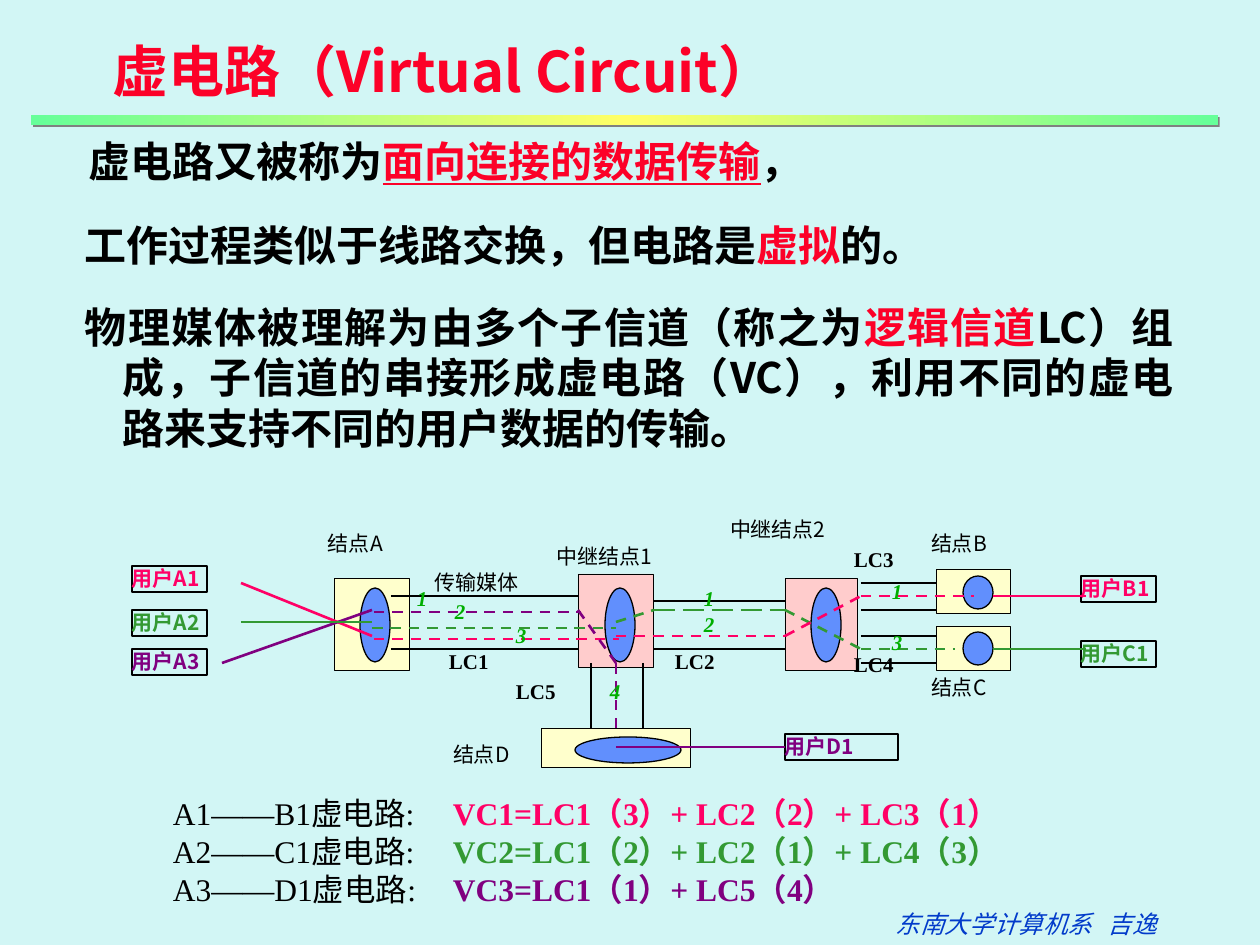
import pptx
import pptx.util
import pptx.dml.color
import pptx.enum.dml
import pptx.enum.shapes
import pptx.enum.text
import pptx.oxml
import pptx.oxml.ns
import copy

SANS, SERIF = "Noto Sans CJK SC", "Times New Roman"
THEME = {
    "back": "D2F6F5", "ink": "000000", "red": "FC0128", "blue": "023BCA",
    "pink": "FF0066", "green": "339933", "purple": "800080", "lime": "00AE00",
    "cream": "FFFFCC", "rose": "FFCCCC", "oval": "618FFD",
    "bar": ["66FF99", "FFFF66", "66FF99"], "shade": "808080",
    "title": dict(name=SANS, size=32, bold=True),
    "body": dict(name=SANS, size=24, bold=True),
    "under": dict(name=SANS, size=24, bold=True, underline=True),
    "foot": dict(name=SERIF, size=14, italic=True),
    "path": dict(name=SERIF, size=18),
    "sum": dict(name=SERIF, size=18, bold=True),
    "user": dict(name=SANS, size=12, bold=True),
    "node": dict(name=SANS, size=12),
    "link": dict(name=SERIF, size=12, bold=True),
    "num": dict(name=SERIF, size=12, bold=True, italic=True),
}

TITLE = [[("虚电路（Virtual Circuit）", "title", "red")]]
BODY = [
    [("虚电路又被称为", "body", "ink"), ("面向连接的数据传输", "under", "red"),
     ("，", "body", "ink")],
    [("工作过程类似于线路交换，但电路是", "body", "ink"), ("虚拟", "body", "red"),
     ("的。", "body", "ink")],
    [("物理媒体被理解为由多个子信道（称之为", "body", "ink"),
     ("逻辑信道", "body", "red"),
     ("LC）组成，子信道的串接形成虚电路（VC），"
      "利用不同的虚电路来支持不同的用户数据的传输。", "body", "ink")],
]
INDENT = [(-34, 13), (-38, 12), (-38, 12)]
FOOT = [[("东南大学计算机系\t吉逸", "foot", "blue")]]
PATHS = [
    ("A1——B1虚电路:", "VC1=LC1（3）+ LC2（2）+ LC3（1）", "pink"),
    ("A2——C1虚电路:", "VC2=LC1（2）+ LC2（1）+ LC4（3）", "green"),
    ("A3——D1虚电路:", "VC3=LC1（1）+ LC5（4）", "purple"),
]
NODES = [
    ("cream", (334, 578, 76, 92), (360, 588, 30, 74)),
    ("rose", (578, 574, 76, 93), (605, 588, 30, 74)),
    ("rose", (785, 578, 73, 92), (811, 588, 30, 74)),
    ("cream", (541, 728, 150, 40), (575, 737, 106, 26)),
    ("cream", (936, 569, 75, 45), (963, 576, 30, 33)),
    ("cream", (936, 626, 75, 45), (963, 632, 30, 33)),
]
USERS = [
    ("用户A1", "pink", 132, 566, 75), ("用户A2", "green", 132, 610, 75),
    ("用户A3", "purple", 132, 649, 75), ("用户B1", "pink", 1081, 576, 75),
    ("用户C1", "green", 1081, 641, 75), ("用户D1", "purple", 785, 734, 113),
]
NAMES = [
    ("结点A", 328, 531), ("中继结点1", 557, 544), ("传输媒体", 435, 570),
    ("中继结点2", 730, 517), ("结点B", 931, 531), ("结点D", 453, 742),
    ("结点C", 931, 675),
]
NUMS = [("1", 404, 580), ("2", 442, 593), ("3", 503, 617), ("1", 691, 580),
        ("2", 691, 606), ("1", 879, 573), ("3", 879, 624), ("4", 597, 673)]
LINKS = [("LC1", 436, 643), ("LC2", 662, 643), ("LC4", 841, 646),
         ("LC3", 841, 541), ("LC5", 503, 673)]
LINES = [
    ("ink", 0.75, None, [
        (391, 649, 578, 649), (391, 596, 578, 596), (654, 601, 785, 601),
        (654, 649, 785, 649), (861, 583, 936, 583), (861, 610, 936, 610),
        (861, 636, 936, 636), (861, 663, 936, 663), (591, 663, 591, 728),
        (643, 663, 643, 728)]),
    ("pink", 1.5, None, [(241, 583, 372, 636), (993, 596, 1086, 596)]),
    ("purple", 1.5, None, [(222, 663, 372, 610), (616, 747, 785, 747)]),
    ("green", 1.5, None, [(241, 622, 372, 622), (993, 649, 1086, 649)]),
    ("green", 1.5, "LONG_DASH", [(654, 610, 785, 610)]),
    ("green", 1.5, "DASH", [
        (372, 628, 616, 628), (616, 622, 654, 610), (785, 610, 861, 649),
        (861, 649, 955, 649)]),
    ("pink", 1.5, "DASH", [
        (374, 639, 619, 639), (616, 636, 654, 636), (654, 636, 785, 636),
        (785, 636, 861, 596), (861, 596, 974, 596)]),
    ("purple", 1.5, "DASH", [
        (374, 612, 581, 612), (578, 610, 616, 663), (616, 663, 616, 728)]),
]

KIND = pptx.enum.shapes.MSO_SHAPE
FIT = pptx.enum.text.MSO_AUTO_SIZE.SHAPE_TO_FIT_TEXT


def px(*vals):
    return [round(v * 914400 / 126) for v in vals]


def rgb(key):
    return pptx.dml.color.RGBColor.from_string(THEME.get(key, key))


def node(tag, **attrs):
    item = pptx.oxml.parse_xml(
        f'<a:{tag} xmlns:a="http://schemas.openxmlformats.org/drawingml/2006/main"/>')
    for key, val in attrs.items():
        item.set(key, str(val))
    return item


def shape(kind, box, fill=None, width=None):
    item = slide.shapes.add_shape(kind, *px(*box))
    item.shadow.inherit = False
    if fill:
        item.fill.solid()
        item.fill.fore_color.rgb = rgb(fill)
    else:
        item.fill.background()
    if width:
        item.line.color.rgb = rgb("ink")
        item.line.width = pptx.util.Pt(width)
    else:
        item.line.fill.background()
    return item


def write(item, paras, pad=True, wrap=True, tab=None):
    frame = item.text_frame
    side, edge = px(13, 6) if pad else (0, 0)
    form = dict(margin_left=side, margin_right=side, margin_top=edge,
                margin_bottom=edge, word_wrap=wrap, auto_size=FIT,
                vertical_anchor=pptx.enum.text.MSO_ANCHOR.TOP)
    for key, val in form.items():
        setattr(frame, key, val)
    for i, runs in enumerate(paras):
        para = frame.add_paragraph() if i else frame.paragraphs[0]
        para.alignment = pptx.enum.text.PP_ALIGN.LEFT
        if tab:
            tabs = node("tabLst")
            tabs.append(node("tab", pos=px(tab)[0], algn="l"))
            para._p.get_or_add_pPr().append(tabs)
        for text, style, tint in runs:
            run = para.add_run()
            run.text = text
            for key, val in THEME[style].items():
                setattr(run.font, key, pptx.util.Pt(val) if key == "size" else val)
            run.font.color.rgb = rgb(tint)
            if THEME[style]["name"] == SANS:
                run.font._element.append(node("ea", typeface=SANS))
    return frame


def label(box, paras, **opts):
    return write(slide.shapes.add_textbox(*px(*box)), paras, **opts)


deck = pptx.Presentation()
deck.slide_width, deck.slide_height = px(1260, 945)
slide = deck.slides.add_slide(deck.slide_layouts[6])
slide.background.fill.solid()
slide.background.fill.fore_color.rgb = rgb("back")

body = label((63, 130, 1124, 340), BODY)
for i, (para, (first, after)) in enumerate(zip(body.paragraphs, INDENT)):
    props = para._p.get_or_add_pPr()
    props.set("marL", str(px(47)[0]))
    props.set("indent", str(px(first)[0]))
    para.space_before = pptx.util.Pt(6 if i else 0)
    para.space_after = pptx.util.Pt(after)
body.paragraphs[2].alignment = pptx.enum.text.PP_ALIGN.JUSTIFY

bar = shape(KIND.RECTANGLE, (31, 115, 1187, 10))
bar.fill.gradient()
bar.fill.gradient_angle = 0
stops = bar.fill._fill._gradFill.gsLst
stops.insert(1, copy.deepcopy(stops[0]))
for i, (stop, tint) in enumerate(zip(bar.fill.gradient_stops, THEME["bar"])):
    stop.color.rgb = rgb(tint)
    stop.position = i / 2
shade = node("outerShdw", dist=17961, dir=2700000, algn="ctr", rotWithShape=0)
shade.append(node("srgbClr", val=THEME["shade"]))
bar._element.spPr.find(pptx.oxml.ns.qn("a:effectLst")).append(shade)

label((99, 30, 760, 81), TITLE)
label((883, 903, 300, 43), FOOT, tab=212)
label((160, 788, 1048, 126),
      [[(ends + "\t", "path", "ink"), (sums, "sum", tint)]
       for ends, sums, tint in PATHS], tab=280)

sites = {}


def mark(item, box):
    x, y, w, h = box
    spots = [(x + w // 2, y), (x, y + h // 2),
             (x + w // 2, y + h), (x + w, y + h // 2)]
    sites.update({spot: (item, i) for i, spot in enumerate(spots)})


for fill, box, oval in NODES:
    mark(shape(KIND.RECTANGLE, box, fill, 0.5), box)
    shape(KIND.OVAL, oval, "oval", 0.75)
for text, tint, x, y, w in USERS:
    box = (x, y, w, 26)
    item = shape(KIND.RECTANGLE, box, None, 0.75)
    write(item, [[(text, "user", tint)]], pad=False, wrap=w > 75)
    mark(item, box)
for text, x, y in NAMES:
    label((x, y, 120, 25), [[(text, "node", "ink")]], pad=False)

for tint, width, dash, ends in LINES:
    for x1, y1, x2, y2 in ends:
        line = slide.shapes.add_connector(
            pptx.enum.shapes.MSO_CONNECTOR.STRAIGHT, *px(x1, y1, x2, y2))
        if (x1, y1) in sites:
            line.begin_connect(*sites[x1, y1])
        if (x2, y2) in sites:
            line.end_connect(*sites[x2, y2])
        line.line.color.rgb = rgb(tint)
        line.line.width = pptx.util.Pt(width)
        if dash:
            line.line.dash_style = getattr(pptx.enum.dml.MSO_LINE, dash)
        line._element.spPr.append(node("effectLst"))

for text, x, y in NUMS:
    label((x, y, 40, 38), [[(text, "num", "lime")]])
for text, x, y in LINKS:
    label((x, y, 76, 38), [[(text, "link", "ink")]])

deck.save("out.pptx")
